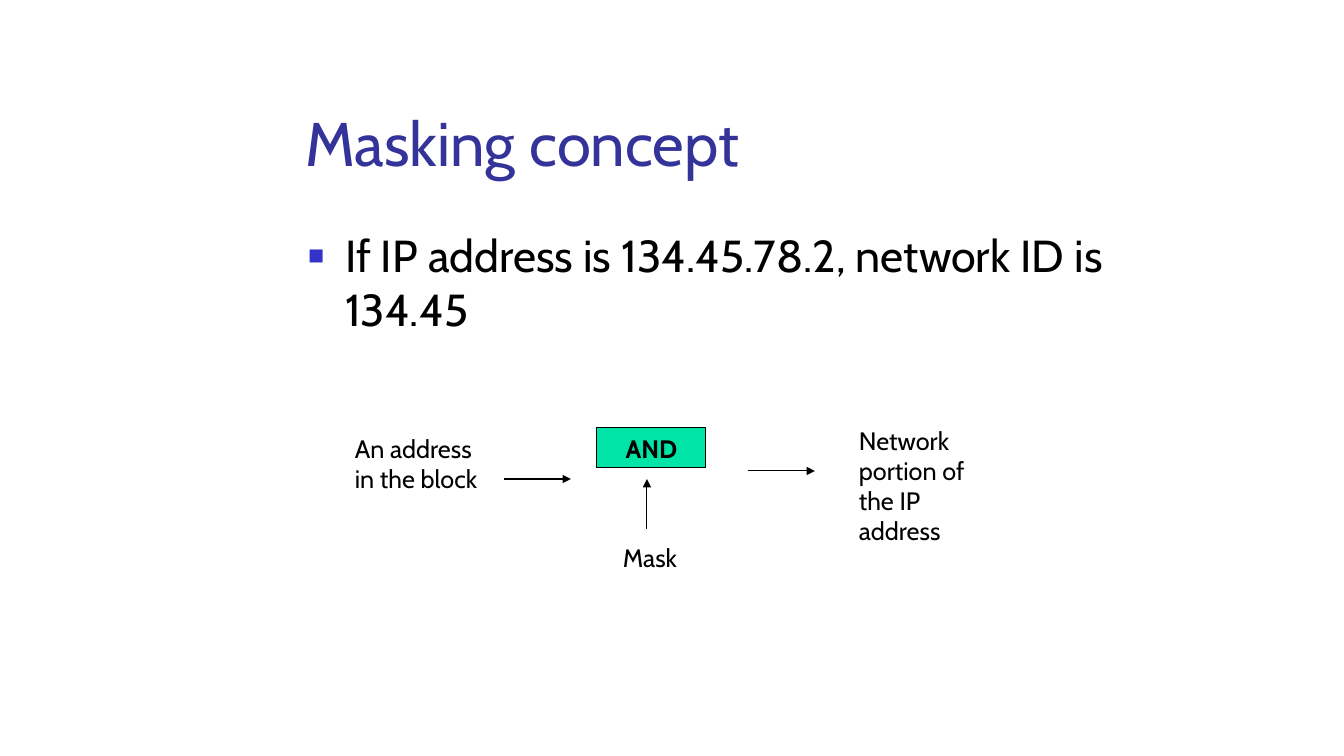
import pptx
import pptx.dml.color
import pptx.enum.shapes
import pptx.enum.text
import pptx.oxml
import pptx.oxml.ns
import pptx.util
import lxml.etree

EMU_PER_PX = 914400 / 100.8
COLORS = {"title": "333399", "bullet": "3333CC", "ink": "000000", "gate": "00E4A8"}
ALIGN = pptx.enum.text.PP_ALIGN
ANCHOR = pptx.enum.text.MSO_ANCHOR
FIT = pptx.enum.text.MSO_AUTO_SIZE


def px(*lengths):
    return [pptx.util.Emu(round(length * EMU_PER_PX)) for length in lengths]


def write(shape, text, size, color="ink", bold=False, align=ALIGN.LEFT,
          anchor=ANCHOR.TOP, fit=FIT.SHAPE_TO_FIT_TEXT):
    frame = shape.text_frame
    frame.text = text
    paragraph = frame.paragraphs[0]
    formats = {
        frame: {"word_wrap": True, "auto_size": fit, "vertical_anchor": anchor},
        paragraph: {"alignment": align, "space_before": pptx.util.Pt(0)},
        paragraph.runs[0].font: {"name": "Cabin", "size": pptx.util.Pt(size), "bold": bold},
    }
    for target, values in formats.items():
        for name, value in values.items():
            setattr(target, name, value)
    paragraph.runs[0].font.color.rgb = pptx.dml.color.RGBColor.from_string(COLORS[color])
    return paragraph


presentation = pptx.Presentation()
presentation.slide_width, presentation.slide_height = px(1344, 756)
slide = presentation.slides.add_slide(presentation.slide_layouts[1])
ink = pptx.dml.color.RGBColor.from_string(COLORS["ink"])

# Title and bulleted statement
heading, statement = slide.shapes.title, slide.placeholders[1]
for holder, box in ((heading, (295, 23, 859, 161)), (statement, (298, 223, 857, 454))):
    holder.left, holder.top, holder.width, holder.height = px(*box)
write(heading, "Masking concept", 44, "title", anchor=ANCHOR.BOTTOM, fit=FIT.NONE)
example = write(statement, "If IP address is 134.45.78.2, network ID is 134.45", 32,
                fit=FIT.NONE)

# Square bullet with a hanging indent
indent = px(37)[0]
properties = example._p.get_or_add_pPr()
properties.set("marL", str(indent))
properties.set("indent", str(-indent))
namespace = pptx.oxml.ns.nsdecls("a")
for bullet_part in (
    f'<a:buClr {namespace}><a:srgbClr val="{COLORS["bullet"]}"/></a:buClr>',
    f'<a:buSzPct {namespace} val="60000"/>',
    f'<a:buChar {namespace} char="■"/>',
):
    properties.append(pptx.oxml.parse_xml(bullet_part))

# Inputs and output of the mask
for label, box in (
    ("An address in the block", (345, 428, 143, 101)),
    ("Mask", (613, 537, 143, 40)),
    ("Network portion of the IP address", (849, 420, 143, 133)),
):
    write(slide.shapes.add_textbox(*px(*box)), label, 18)

# AND gate
gate = slide.shapes.add_shape(pptx.enum.shapes.MSO_SHAPE.RECTANGLE, *px(597, 428, 109, 40))
gate.shadow.inherit = False
gate.fill.solid()
gate.fill.fore_color.rgb = pptx.dml.color.RGBColor.from_string(COLORS["gate"])
gate.line.color.rgb = ink
gate.line.width = pptx.util.Pt(0.75)
write(gate, "AND", 18, bold=True, align=ALIGN.CENTER)

# Arrows: address in, mask in, network portion out
for ends in ((504, 479, 571, 479), (647, 529, 647, 479), (748, 471, 815, 471)):
    arrow = slide.shapes.add_connector(pptx.enum.shapes.MSO_CONNECTOR.STRAIGHT, *px(*ends))
    arrow.line.color.rgb = ink
    arrow.line.width = pptx.util.Pt(0.75)
    lxml.etree.SubElement(arrow.line._get_or_add_ln(), pptx.oxml.ns.qn("a:tailEnd"),
                          type="triangle")
    lxml.etree.SubElement(arrow._element.spPr, pptx.oxml.ns.qn("a:effectLst"))

presentation.save("out.pptx")
